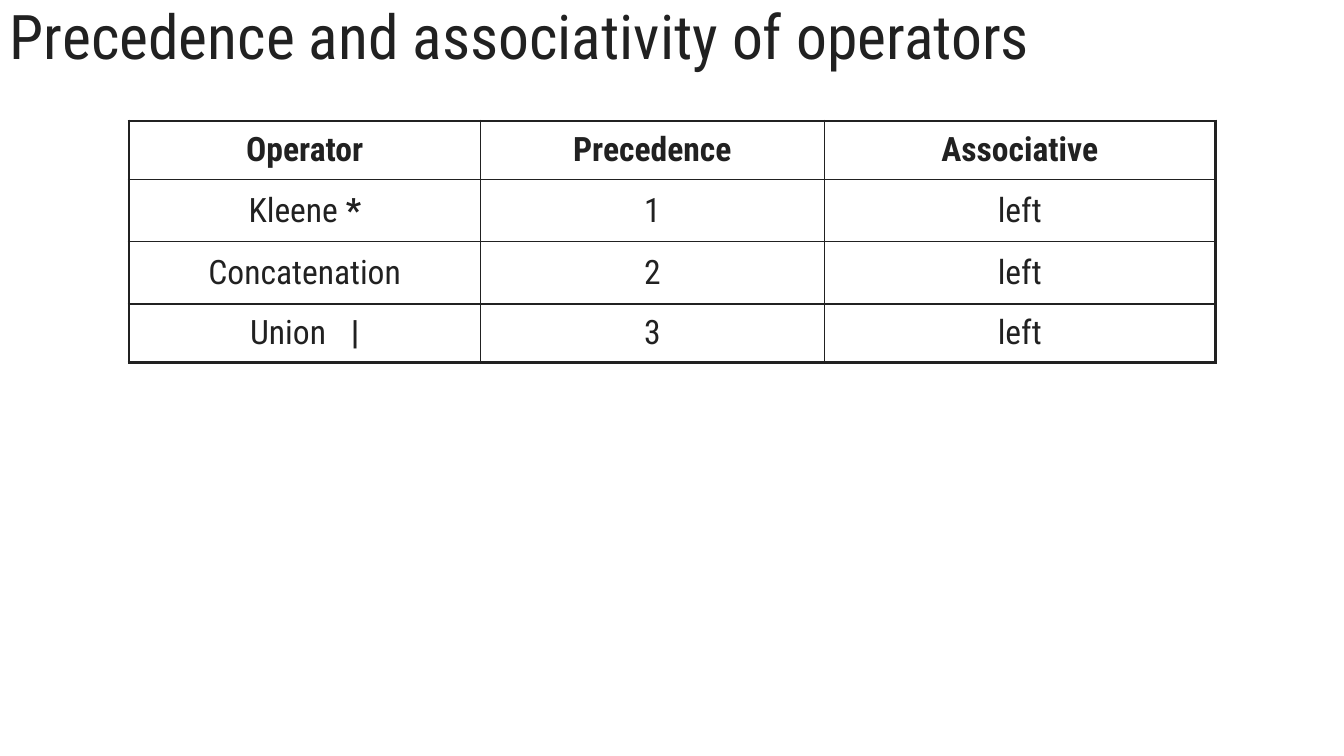
from dataclasses import dataclass

from lxml import etree
from pptx import Presentation
from pptx import util as u
from pptx.dml.color import RGBColor
from pptx.enum import text
from pptx.oxml import ns


@dataclass(frozen=True)
class Theme:
    font: str = "Roboto Condensed"
    ink: str = "212121"
    paper: str = "FFFFFF"
    title_size: int = 44
    table_size: int = 24
    outer_line: float = 2.25
    inner_line: float = 1


THEME = Theme()

HEADER = ("Operator", "Precedence", "Associative")
# Each operator: name, symbol, precedence, associativity
OPERATORS = [
    ("Kleene ", "*", "1", "left"),
    ("Concatenation", "", "2", "left"),
    ("Union \t", "|", "3", "left"),
]
COLUMN_WIDTHS = (8.86, 8.66, 9.86)
ROW_HEIGHTS = (1.47, 1.57, 1.57, 1.47)


def add_text(p, content, size=THEME.table_size, bold=False, align=None, spacing=None):
    """Append a formatted run to a paragraph."""
    if align is not None:
        p.alignment = align
    if spacing is not None:
        p.line_spacing = spacing
    r = p.add_run()
    r.text = content
    r.font.name = THEME.font
    r.font.size = u.Pt(size)
    r.font.bold = bold
    r.font.color.rgb = RGBColor.from_string(THEME.ink)


def set_borders(cell, **widths):
    """Draw the cell's sides; the keys are L, R, T and B, in that order."""
    tc_pr = cell._tc.get_or_add_tcPr()
    for side, width in widths.items():
        ln = etree.SubElement(tc_pr, ns.qn(f"a:ln{side}"), w=str(u.Pt(width)))
        fill = etree.SubElement(ln, ns.qn("a:solidFill"))
        etree.SubElement(fill, ns.qn("a:srgbClr"), val=THEME.ink)


def add_title(s, content, left, top, width, height):
    sp = s.shapes.add_textbox(u.Cm(left), u.Cm(top), u.Cm(width), u.Cm(height))
    tf = sp.text_frame
    tf.word_wrap = True
    tf.vertical_anchor = text.MSO_ANCHOR.MIDDLE
    add_text(tf.paragraphs[0], content, size=THEME.title_size, spacing=0.9)


def add_operator_table(s, left, top):
    # Each cell holds (text, bold) runs
    rows = [[[(name, True)] for name in HEADER]]
    for name, symbol, precedence, side in OPERATORS:
        operator = [(name, False)] + ([(symbol, True)] if symbol else [])
        rows.append([operator, [(precedence, False)], [(side, False)]])

    last_row, last_col = len(rows) - 1, len(HEADER) - 1
    table = s.shapes.add_table(
        len(rows), len(HEADER), u.Cm(left), u.Cm(top),
        u.Cm(sum(COLUMN_WIDTHS)), u.Cm(sum(ROW_HEIGHTS))).table
    table.first_row = table.horz_banding = False
    for column, width in zip(table.columns, COLUMN_WIDTHS):
        column.width = u.Cm(width)
    for row, height in zip(table.rows, ROW_HEIGHTS):
        row.height = u.Cm(height)

    def line(is_outer):
        return THEME.outer_line if is_outer else THEME.inner_line

    for i, row in enumerate(rows):
        for j, runs in enumerate(row):
            cell = table.cell(i, j)
            set_borders(cell, L=line(j == 0), R=line(j == last_col),
                        T=line(i == 0), B=line(i == last_row))
            cell.fill.background()
            cell.vertical_anchor = text.MSO_ANCHOR.MIDDLE
            for content, bold in runs:
                add_text(cell.text_frame.paragraphs[0], content, bold=bold,
                         align=text.PP_ALIGN.CENTER)


def main():
    prs = Presentation()
    prs.slide_width, prs.slide_height = u.Cm(33.87), u.Cm(19.05)
    s = prs.slides.add_slide(prs.slide_layouts[6])
    s.background.fill.solid()
    s.background.fill.fore_color.rgb = RGBColor.from_string(THEME.paper)

    add_title(s, "Precedence and associativity of operators", 0, 0, 33.87, 1.98)
    add_operator_table(s, 3.25, 3.05)
    prs.save("out.pptx")


if __name__ == "__main__":
    main()
